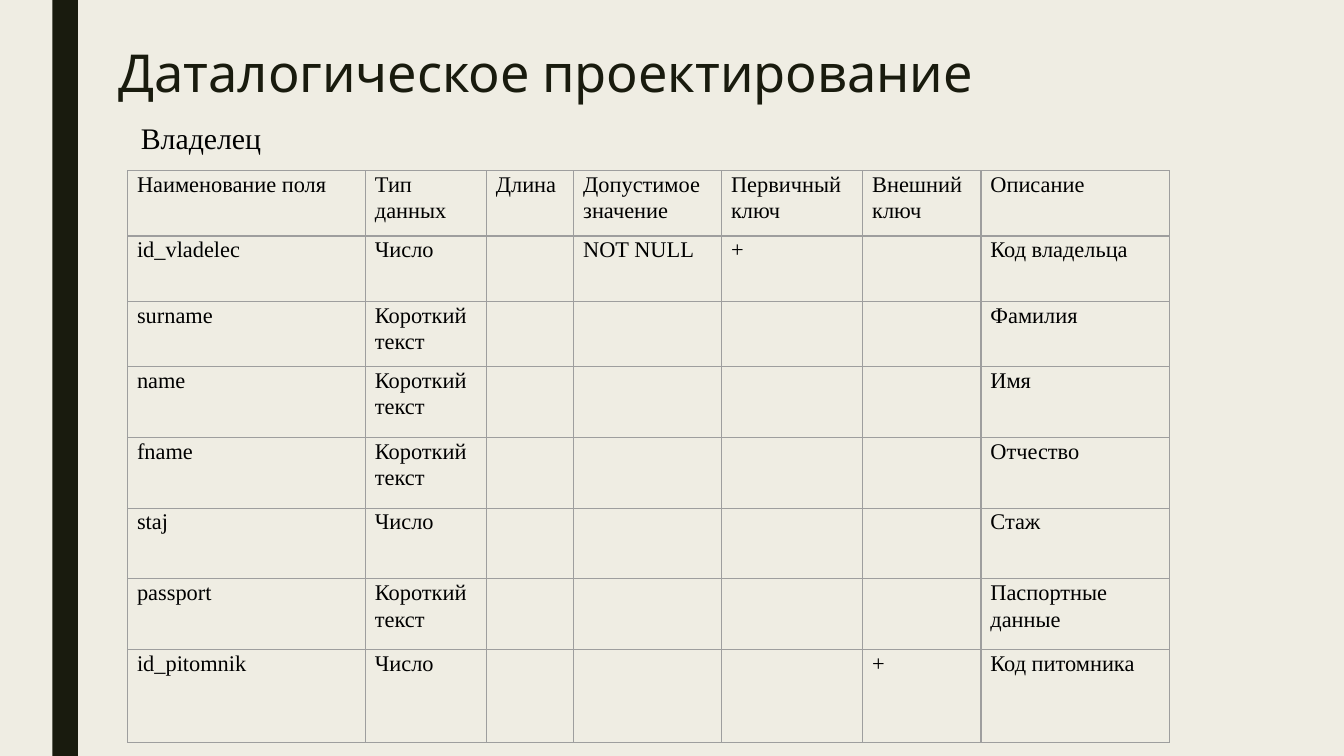
from typing import NamedTuple

from lxml import etree
from pptx import Presentation
from pptx.dml.color import RGBColor
from pptx.enum.shapes import MSO_SHAPE
from pptx.enum.text import MSO_ANCHOR, PP_ALIGN
from pptx.oxml.ns import qn
from pptx.util import Inches, Pt

RECTANGLE = MSO_SHAPE.RECTANGLE
TOP, MIDDLE = MSO_ANCHOR.TOP, MSO_ANCHOR.MIDDLE
LEFT = PP_ALIGN.LEFT

SLIDE_WIDTH = Inches(10)
SLIDE_HEIGHT = SLIDE_WIDTH * 9 // 16

BACKGROUND = RGBColor(0xEF, 0xED, 0xE3)
DARK = RGBColor(0x19, 0x1B, 0x0E)
BLACK = RGBColor(0x00, 0x00, 0x00)
GRID = RGBColor(0x9E, 0x9E, 0x9E)
TITLE_FONT = "Karla"
BODY_FONT = "Times New Roman"
SHORT_TEXT = "Короткий текст"
NUMBER = "Число"


class Field(NamedTuple):
    """One row of the table that describes the fields of an entity."""
    name: str
    data_type: str
    description: str
    length: str = ""
    allowed: str = ""
    primary_key: str = ""
    foreign_key: str = ""

    def cells(self) -> tuple[str, ...]:
        return (self.name, self.data_type, self.length, self.allowed,
                self.primary_key, self.foreign_key, self.description)


FIELDS = [
    Field("Наименование поля", "Тип данных", "Описание", "Длина",
          "Допустимое значение", "Первичный ключ", "Внешний ключ"),
    Field("id_vladelec", NUMBER, "Код владельца", allowed="NOT NULL", primary_key="+"),
    Field("surname", SHORT_TEXT, "Фамилия"),
    Field("name", SHORT_TEXT, "Имя"),
    Field("fname", SHORT_TEXT, "Отчество"),
    Field("staj", NUMBER, "Стаж"),
    Field("passport", SHORT_TEXT, "Паспортные данные"),
    Field("id_pitomnik", NUMBER, "Код питомника", foreign_key="+"),
]
TABLE_WIDTH, TABLE_HEIGHT = 7.75, 4.26
COLUMN_SHARES = [1.77, 0.9, 0.65, 1.1, 1.05, 0.88, 1.4]
ROW_SHARES = [0.49] * 3 + [0.53] * 4 + [0.7]


def split(total: float, shares: list[float]) -> list[float]:
    """Divide a length in proportion to the shares."""
    return [total * share / sum(shares) for share in shares]


def format_text(paragraph, font_name: str, size: float, color: RGBColor) -> None:
    paragraph.alignment = LEFT
    for run in paragraph.runs:
        run.font.name = font_name
        run.font.size = Pt(size)
        run.font.color.rgb = color


def add_borders(cell) -> None:
    properties = cell._tc.get_or_add_tcPr()
    for side in ("a:lnL", "a:lnR", "a:lnT", "a:lnB"):
        line = etree.SubElement(properties, qn(side), w=str(Pt(0.75)))
        fill = etree.SubElement(line, qn("a:solidFill"))
        etree.SubElement(fill, qn("a:srgbClr"), val=str(GRID))


def fill_cell(cell, text: str) -> None:
    add_borders(cell)
    cell.fill.background()
    cell.margin_left = cell.margin_right = Inches(0.07)
    cell.margin_top = cell.margin_bottom = 0
    cell.vertical_anchor = TOP
    if not text:
        return
    cell.text_frame.text = text
    paragraph = cell.text_frame.paragraphs[0]
    paragraph.line_spacing = 1.07
    paragraph.space_after = Pt(8)
    format_text(paragraph, BODY_FONT, 12, BLACK)


def add_field_table(slide, fields: list[Field]) -> None:
    table = slide.shapes.add_table(
        len(fields), len(COLUMN_SHARES), Inches(0.95), Inches(1.27),
        Inches(TABLE_WIDTH), Inches(TABLE_HEIGHT)).table
    table.first_row = table.horz_banding = False
    for column, width in zip(table.columns, split(TABLE_WIDTH, COLUMN_SHARES)):
        column.width = Inches(width)
    for row, height, field in zip(table.rows, split(TABLE_HEIGHT, ROW_SHARES), fields):
        row.height = Inches(height)
        for cell, text in zip(row.cells, field.cells()):
            fill_cell(cell, text)


def add_side_bar(slide) -> None:
    bar = slide.shapes.add_shape(RECTANGLE, Inches(0.39), 0, Inches(0.19), SLIDE_HEIGHT)
    bar.shadow.inherit = False
    bar.fill.solid()
    bar.fill.fore_color.rgb = DARK
    bar.line.fill.background()


def set_title(slide, text: str) -> None:
    title = slide.shapes.title
    title.left, title.top = Inches(0.78), Inches(0.25)
    title.width, title.height = Inches(7.59), Inches(0.63)
    frame = title.text_frame
    frame.margin_left = frame.margin_right = Inches(0.1)
    frame.margin_top = frame.margin_bottom = Inches(0.1)
    frame.vertical_anchor = MIDDLE
    frame.text = text
    frame.paragraphs[0].line_spacing = 0.89
    format_text(frame.paragraphs[0], TITLE_FONT, 28, DARK)


def add_entity_name(slide, text: str) -> None:
    frame = slide.shapes.add_textbox(
        Inches(0.95), Inches(0.84), Inches(5), Inches(0.37)).text_frame
    frame.word_wrap = True
    frame.text = text
    format_text(frame.paragraphs[0], BODY_FONT, 16, BLACK)


def main() -> None:
    presentation = Presentation()
    presentation.slide_width = SLIDE_WIDTH
    presentation.slide_height = SLIDE_HEIGHT
    title_only = presentation.slide_layouts[5]
    slide = presentation.slides.add_slide(title_only)
    slide.background.fill.solid()
    slide.background.fill.fore_color.rgb = BACKGROUND

    add_side_bar(slide)
    set_title(slide, "Даталогическое проектирование")
    add_field_table(slide, FIELDS)
    add_entity_name(slide, "Владелец")
    presentation.save("out.pptx")


if __name__ == "__main__":
    main()
